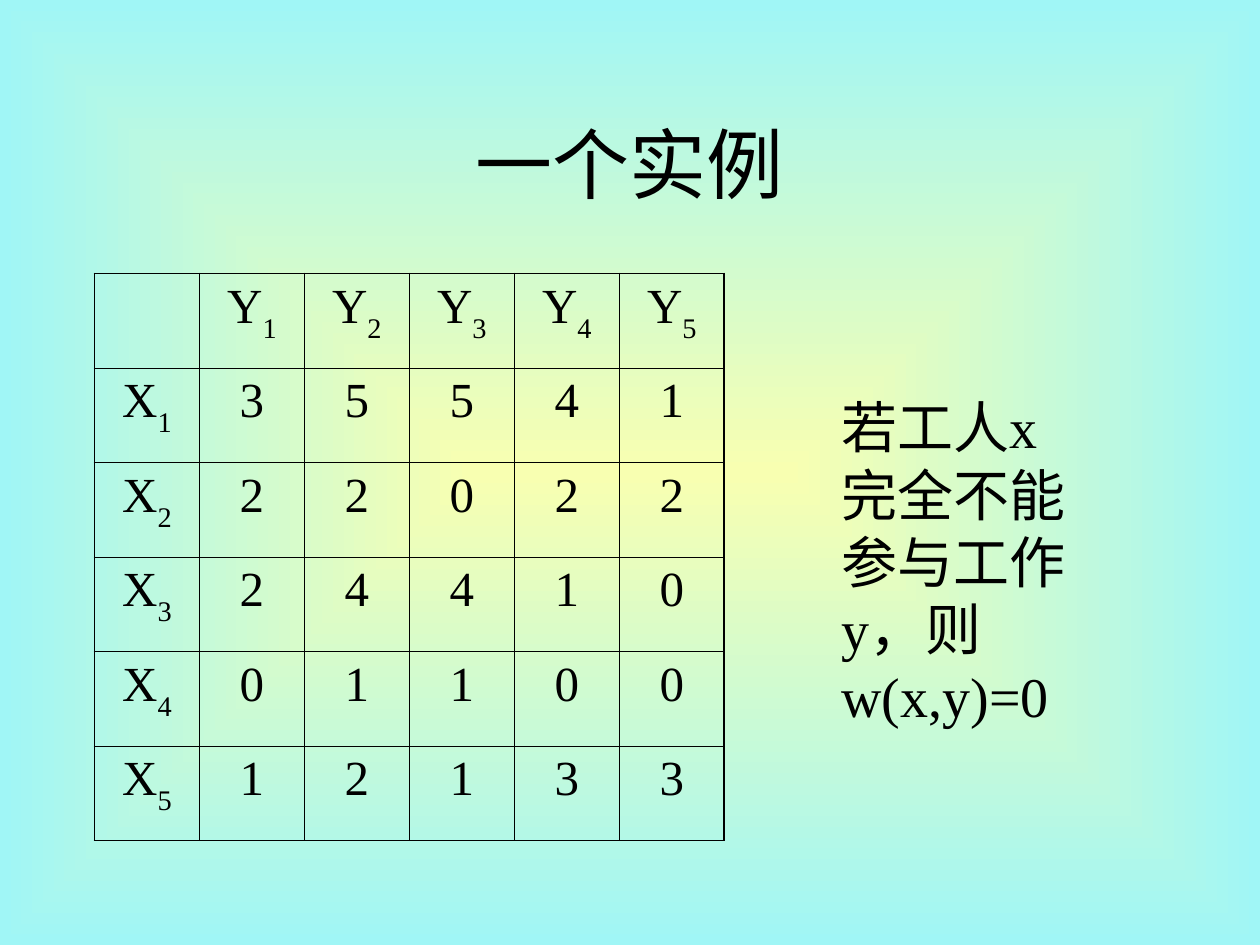
from lxml import etree
from pptx import Presentation
from pptx.dml.color import RGBColor
from pptx.enum.text import MSO_ANCHOR as Anchor, MSO_AUTO_SIZE as AutoSize, PP_ALIGN as Align
from pptx.oxml import parse_xml
from pptx.oxml.ns import nsdecls, qn
from pptx.util import Inches, Pt

COLORS = {"text": "000000", "line": "000000", "center": "F8FFB1", "edge": "A0F6F6"}
OUTER, INNER = 1.08, 0.45


def add_run(paragraph, text, size, baseline=None):
    run = paragraph.add_run()
    run.text = text
    run.font.name = "Times New Roman"
    run.font.size = Pt(size)
    run.font.color.rgb = RGBColor.from_string(COLORS["text"])
    if baseline is not None:
        run.font._element.set("baseline", str(baseline))


def set_borders(cell, widths):
    """Draw the cell's borders; widths maps L, R, T, B (in that order) to points."""
    properties = cell._tc.get_or_add_tcPr()
    for position, (side, width) in enumerate(widths.items()):
        properties.insert(position, parse_xml(
            f'<a:ln{side} {nsdecls("a")} w="{Pt(width)}"><a:solidFill>'
            f'<a:srgbClr val="{COLORS["line"]}"/></a:solidFill></a:ln{side}>'))


prs = Presentation()
prs.slide_width, prs.slide_height = Inches(10), Inches(7.5)
slide = prs.slides.add_slide(prs.slide_layouts[5])

# Background: rectangular gradient spreading from the middle
backdrop = slide.background.fill
backdrop.gradient()
for stop, name, place in zip(backdrop.gradient_stops, ("center", "edge"), (0, 1)):
    stop.color.rgb = RGBColor.from_string(COLORS[name])
    stop.position = place
gradient = slide._element.find(".//" + qn("a:gradFill"))
direction = gradient.find(qn("a:lin"))
rectangular = etree.Element(qn("a:path"), path="rect")
etree.SubElement(rectangular, qn("a:fillToRect"), l="50000", t="50000", r="50000", b="50000")
gradient.replace(direction, rectangular)

# Title
title = slide.shapes.title
title.left, title.top = Inches(0.75), Inches(0.67)
title.width, title.height = Inches(8.5), Inches(1.25)
title.text_frame.auto_size = AutoSize.NONE
title.text_frame.vertical_anchor = Anchor.MIDDLE
heading = title.text_frame.paragraphs[0]
heading.alignment = Align.CENTER
add_run(heading, "一个实例", 44)

# Weight table: workers X against jobs Y
weights = [
    [3, 5, 5, 4, 1],
    [2, 2, 0, 2, 2],
    [2, 4, 4, 1, 0],
    [0, 1, 1, 0, 0],
    [1, 2, 1, 3, 3],
]
count = len(weights) + 1
last = count - 1
weight_table = slide.shapes.add_table(
    count, count, Inches(0.75), Inches(2.17), Inches(5), Inches(4.5)).table
weight_table.first_row = weight_table.horz_banding = False

for row in range(count):
    for col in range(count):
        cell = weight_table.cell(row, col)
        cell.fill.background()
        set_borders(cell, {
            "L": OUTER if col == 0 else INNER,
            "R": OUTER if col == last else INNER,
            "T": OUTER if row == 0 else INNER,
            "B": OUTER if row == last else INNER,
        })
        if row == col == 0:
            continue
        entry = cell.text_frame.paragraphs[0]
        entry.alignment = Align.CENTER
        entry.space_before = Pt(7)
        if row and col:
            add_run(entry, str(weights[row - 1][col - 1]), 28)
        else:
            add_run(entry, "X" if row else "Y", 28)
            add_run(entry, str(row or col), 28, baseline=-30000)

# Note beside the table
note = slide.shapes.add_textbox(Inches(6.58), Inches(3.07), Inches(2.08), Inches(2.77))
note.text_frame.word_wrap = True
note.text_frame.auto_size = AutoSize.SHAPE_TO_FIT_TEXT
remark = note.text_frame.paragraphs[0]
remark.space_before = Pt(20)
add_run(remark, "若工人x完全不能参与工作y，则w(x,y)=0", 32)

prs.save("out.pptx")
